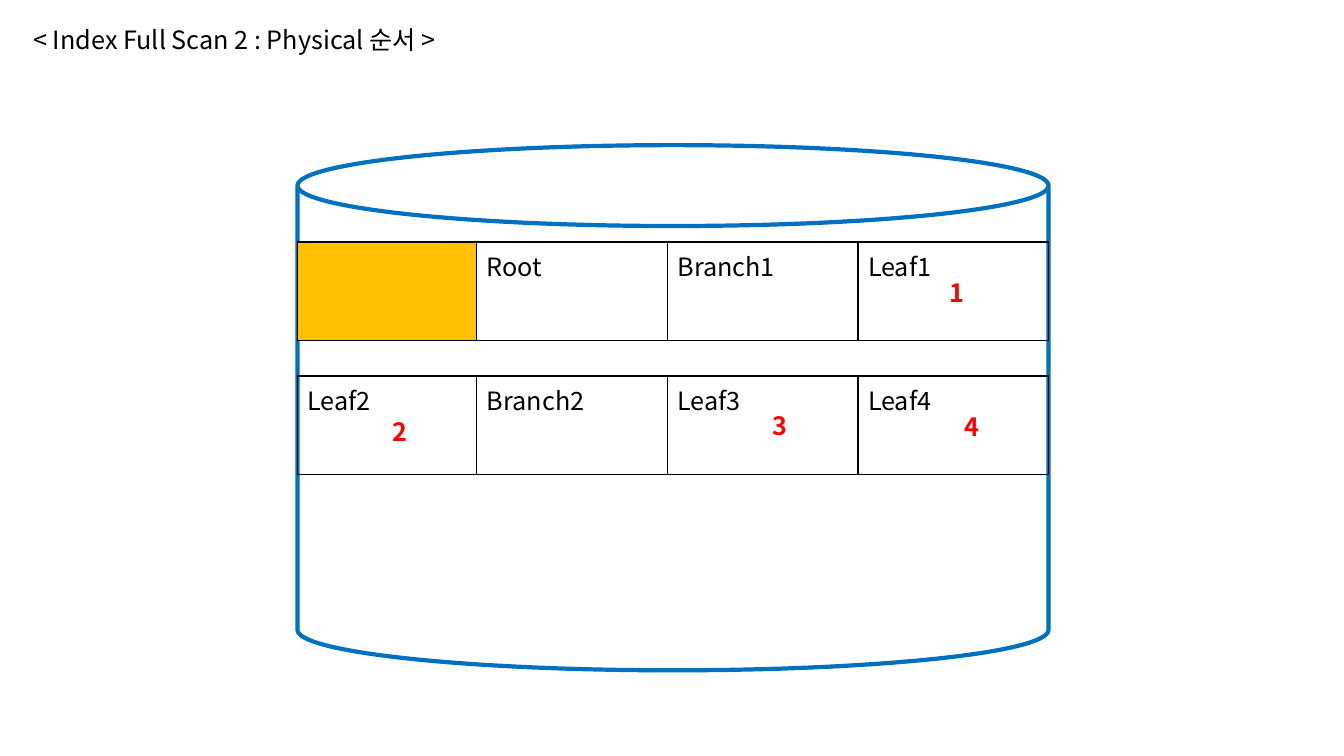
from dataclasses import dataclass

from lxml.etree import SubElement
from pptx import Presentation
from pptx.dml.color import RGBColor
from pptx.enum.shapes import MSO_SHAPE as Shape
from pptx.enum.text import MSO_ANCHOR as Anchor, MSO_AUTO_SIZE as AutoSize, PP_ALIGN as Align
from pptx.oxml.ns import qn
from pptx.util import Inches, Pt

HEADING = "< Index Full Scan 2 : Physical 순서 >"
HEADING_BOX = (0.23, 0.19, 4.84, 0.4)
BLOCK_ROWS = [
    (2.4, ["", "Root", "Branch1", "Leaf1"]),
    (3.73, ["Leaf2", "Branch2", "Leaf3", "Leaf4"]),
]
READ_ORDER = [("1", 9.32, 2.7), ("2", 3.79, 4.08), ("3", 7.56, 4.02), ("4", 9.47, 4.03)]

DISK_LEFT, DISK_TOP, DISK_WIDTH, DISK_HEIGHT = 2.95, 1.44, 7.45, 5.21
DISK_CURVE = 0.154
BLOCK_WIDTHS = [1.78, 1.89, 1.89, 1.89]
BLOCK_HEIGHT = 0.98
MARK_WIDTH, MARK_HEIGHT = 0.57, 0.4


@dataclass(frozen=True)
class Theme:
    font: str = "Noto Sans CJK KR"
    size: int = 18
    ink: str = "000000"
    mark: str = "FF0000"
    disk_fill: str = "FFFFFF"
    disk_line: str = "0070C0"
    header_block: str = "FFC000"
    disk_weight: int = 3
    border_weight: int = 1


THEME = Theme()


def rgb(value):
    return RGBColor.from_string(value)


def write(frame, text, color=THEME.ink, bold=False):
    paragraph = frame.paragraphs[0]
    paragraph.text = text
    paragraph.alignment = Align.LEFT
    font = paragraph.font
    font.name, font.size, font.bold = THEME.font, Pt(THEME.size), bold
    font.color.rgb = rgb(color)
    SubElement(font._element, qn("a:ea"), typeface=THEME.font)


def add_borders(cell):
    properties = cell._tc.get_or_add_tcPr()
    for position, side in enumerate(("lnL", "lnR", "lnT", "lnB")):
        line = SubElement(properties, qn(f"a:{side}"), w=str(Pt(THEME.border_weight)))
        fill = SubElement(line, qn("a:solidFill"))
        SubElement(fill, qn("a:srgbClr"), val=THEME.ink)
        properties.insert(position, line)


def add_heading(slide):
    title = slide.shapes.title
    title.left, title.top, title.width, title.height = map(Inches, HEADING_BOX)
    frame = title.text_frame
    frame.word_wrap = True
    frame.auto_size = AutoSize.SHAPE_TO_FIT_TEXT
    frame.vertical_anchor = Anchor.TOP
    write(frame, HEADING)


def add_disk(slide):
    box = map(Inches, (DISK_LEFT, DISK_TOP, DISK_WIDTH, DISK_HEIGHT))
    disk = slide.shapes.add_shape(Shape.CAN, *box)
    disk.adjustments[0] = DISK_CURVE
    disk.shadow.inherit = False
    disk.fill.solid()
    disk.fill.fore_color.rgb = rgb(THEME.disk_fill)
    disk.line.color.rgb = rgb(THEME.disk_line)
    disk.line.width = Pt(THEME.disk_weight)


def add_blocks(slide, top, labels):
    box = map(Inches, (DISK_LEFT, top, DISK_WIDTH, BLOCK_HEIGHT))
    blocks = slide.shapes.add_table(1, len(labels), *box).table
    blocks.first_row = blocks.horz_banding = False
    for column, width, cell, label in zip(blocks.columns, BLOCK_WIDTHS, blocks.iter_cells(), labels):
        column.width = Inches(width)
        if label:
            cell.fill.background()
            write(cell.text_frame, label)
        else:
            cell.fill.solid()
            cell.fill.fore_color.rgb = rgb(THEME.header_block)
        add_borders(cell)


def add_mark(slide, number, left, top):
    box = map(Inches, (left, top, MARK_WIDTH, MARK_HEIGHT))
    frame = slide.shapes.add_textbox(*box).text_frame
    frame.word_wrap = True
    frame.auto_size = AutoSize.SHAPE_TO_FIT_TEXT
    write(frame, number, THEME.mark, bold=True)


def main():
    deck = Presentation()
    deck.slide_width, deck.slide_height = Inches(13.33), Inches(7.5)
    slide = deck.slides.add_slide(deck.slide_layouts[5])
    add_heading(slide)
    add_disk(slide)
    for top, labels in BLOCK_ROWS:
        add_blocks(slide, top, labels)
    for number, left, top in READ_ORDER:
        add_mark(slide, number, left, top)
    deck.save("out.pptx")


if __name__ == "__main__":
    main()
